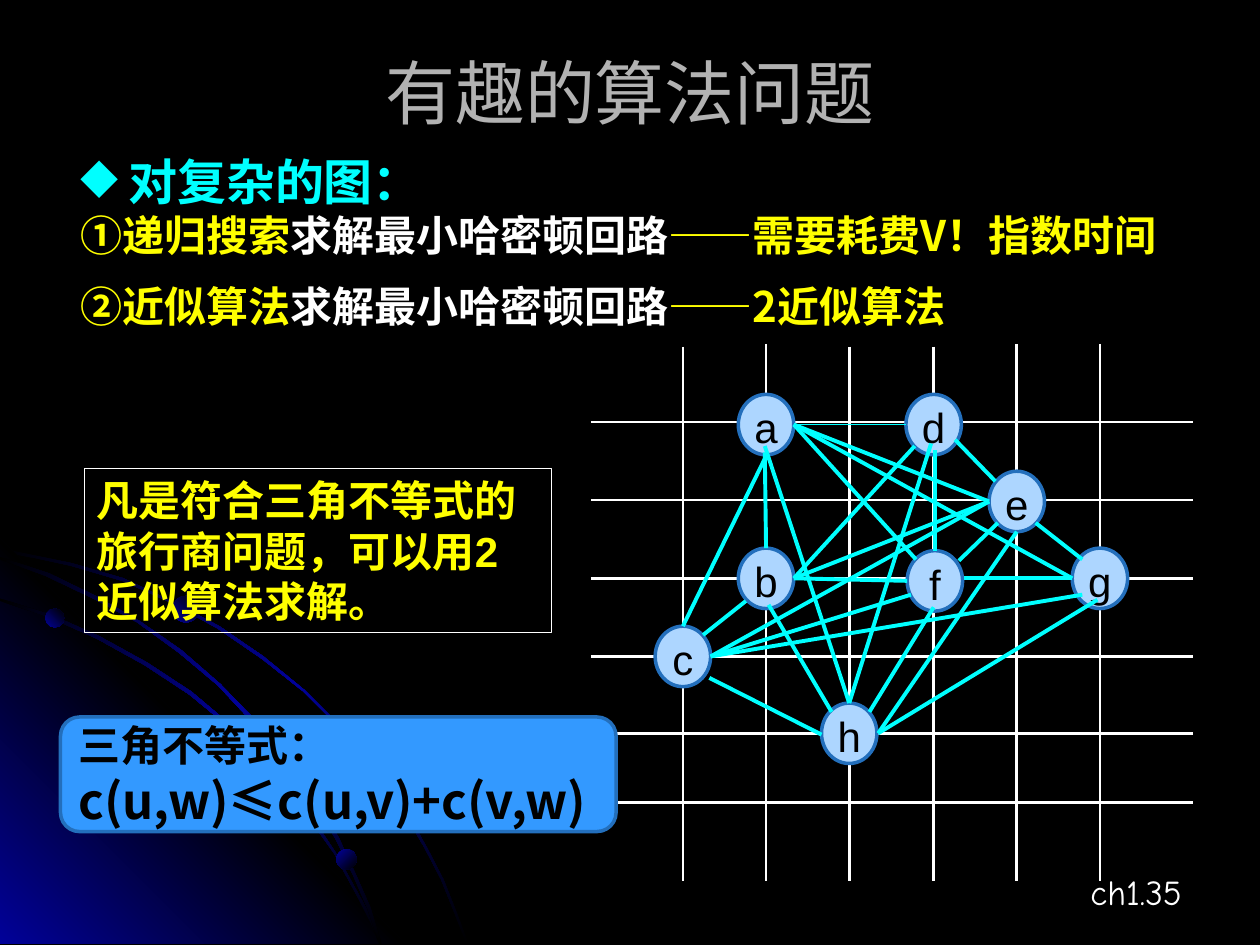
"""Build a slide on approximating the travelling salesman problem."""
from lxml import etree
from pptx import Presentation, util as u
from pptx.dml.color import RGBColor
from pptx.enum import shapes, text
from pptx.oxml import ns

PX = 9144
BLACK, WHITE, YELLOW, CYAN = "000000", "FFFFFF", "FFFF00", "00FFFF"
NAVY, NODE_FILL, OUTLINE = "010199", "ADD6FF", "236FBC"
CJK, CJK_JP, LATIN, SERIF = "Noto Sans CJK SC", "Noto Sans CJK JP", "Arial", "Times New Roman"
SHAPE = shapes.MSO_SHAPE
ALIGN, ANCHOR = text.PP_ALIGN, text.MSO_ANCHOR

GLOW = (NAVY, BLACK, NAVY)
STREAK = (BLACK, NAVY, BLACK)
ARCS = [
    [(57, 447), (28, 441), (0, 435), (0, 438), (28, 443), (56, 449), (97, 461), (135, 478), (173, 499),
     (208, 523), (241, 549), (271, 579), (298, 612), (323, 649), (337, 673), (350, 698), (360, 723),
     (370, 749), (372, 749), (362, 723), (352, 698), (339, 673), (325, 648), (300, 611), (272, 578),
     (242, 548), (209, 521), (174, 497), (136, 477), (98, 459)],
    [(285, 714), (294, 732), (301, 749), (303, 749), (296, 730), (286, 712), (266, 676), (242, 640),
     (215, 606), (184, 576), (152, 549), (117, 526), (79, 505), (41, 488), (0, 475), (0, 477), (39, 490),
     (77, 507), (115, 528), (150, 551), (183, 578), (213, 608), (240, 642), (265, 677)],
    [(0, 442), (0, 444), (36, 457), (74, 475), (109, 494), (142, 518), (173, 544), (202, 575), (227, 605),
     (252, 641), (267, 667), (280, 694), (292, 722), (301, 749), (303, 749), (294, 720), (282, 693),
     (269, 665), (254, 639), (229, 603), (204, 573), (175, 543), (144, 516), (111, 493), (76, 473), (39, 455)],
]
CORNER = [(322, 749), (0, 749), (0, 427)]
DOTS = [(36, 483, 15, 315), (267, 674, 16, 45), (137, 473, 21, 315)]

ROWS = [335, 397, 459, 521, 582, 637]
COLUMN_TOPS = [275, 273, 275, 275, 273, 273]
NODES = {"a": (586, 313), "d": (719, 313), "b": (586, 435), "c": (520, 497),
         "h": (652, 558), "e": (785, 374), "f": (720, 437), "g": (851, 435)}
EDGES = [
    (630, 337, 727, 444), (607, 359, 608, 435), (608, 362, 542, 497), (563, 538, 652, 583),
    (592, 477, 558, 504), (630, 459, 720, 461), (758, 349, 790, 382), (822, 415, 859, 444),
    (871, 476, 697, 582), (741, 482, 690, 565), (765, 459, 851, 459), (792, 415, 761, 445),
    (742, 357, 742, 437), (726, 354, 630, 459), (607, 354, 674, 558), (723, 472, 564, 521),
    (630, 337, 851, 459), (859, 472, 564, 521), (785, 398, 564, 521), (610, 480, 660, 565),
    (739, 352, 674, 558), (807, 422, 697, 582), (785, 398, 630, 459), (630, 337, 785, 398),
]


def color(value):
    return RGBColor.from_string(value)


def add_text(paragraph, content, size=24, font=CJK, fill=BLACK, bold=False):
    run = paragraph.add_run()
    run.text = content
    run.font.size = u.Pt(size)
    run.font.name = font
    run.font.bold = bold
    run.font.color.rgb = color(fill)
    east_asian = font if font == CJK_JP else CJK
    etree.SubElement(run.font._element, ns.qn("a:ea"), typeface=east_asian)


def add_bullet(paragraph, symbol, fill):
    properties = paragraph._p.get_or_add_pPr()
    bullet_color = etree.SubElement(properties, ns.qn("a:buClr"))
    etree.SubElement(bullet_color, ns.qn("a:srgbClr"), val=fill)
    etree.SubElement(properties, ns.qn("a:buChar"), char=symbol)


class Canvas:
    """Hold the style and the current slide."""

    def __init__(self, slide):
        self.shapes = slide.shapes
        self.slide = slide
        slide.background.fill.solid()
        slide.background.fill.fore_color.rgb = color(BLACK)

    def finish(self, shape, fill=None, line=None, weight=2):
        shape.shadow.inherit = False
        shape.fill.background()
        shape.line.fill.background()
        if fill:
            shape.fill.solid()
            shape.fill.fore_color.rgb = color(fill)
        if line:
            shape.line.color.rgb = color(line)
            shape.line.width = u.Pt(weight)

    def gradient(self, shape, colors, angle):
        self.finish(shape)
        shape.fill.gradient()
        shape.fill.gradient_angle = 360 - angle
        stops = shape._element.spPr.find(ns.qn("a:gradFill")).find(ns.qn("a:gsLst"))
        for stop in list(stops):
            stops.remove(stop)
        for index, value in enumerate(colors):
            position = str(100000 * index // (len(colors) - 1))
            stop = etree.SubElement(stops, ns.qn("a:gs"), pos=position)
            etree.SubElement(stop, ns.qn("a:srgbClr"), val=value)

    def outline(self, points, colors, angle):
        builder = self.shapes.build_freeform(*points[0], scale=PX)
        builder.add_line_segments(points[1:], close=True)
        self.gradient(builder.convert_to_shape(), colors, angle)

    def shape(self, kind, left, top, width, height, **style):
        shape = self.shapes.add_shape(kind, *(n * PX for n in (left, top, width, height)))
        self.finish(shape, **style)
        return shape

    def textbox(self, left, top, width, height):
        box = self.shapes.add_textbox(*(n * PX for n in (left, top, width, height)))
        box.text_frame.word_wrap = True
        return box.text_frame

    def line(self, x1, y1, x2, y2, fill, weight):
        line = self.shapes.add_connector(
            shapes.MSO_CONNECTOR.STRAIGHT, *(n * PX for n in (x1, y1, x2, y2)))
        line.line.color.rgb = color(fill)
        line.line.width = u.Pt(weight)
        etree.SubElement(line._element.spPr, ns.qn("a:effectLst"))

    def node(self, label, left, top):
        frame = self.shape(SHAPE.OVAL, left, top, 44, 48, fill=NODE_FILL, line=OUTLINE).text_frame
        frame.margin_left = frame.margin_right = frame.margin_bottom = 0
        frame.margin_top = 4 * PX
        frame.word_wrap = False
        frame.vertical_anchor = ANCHOR.MIDDLE
        frame.paragraphs[0].alignment = ALIGN.CENTER
        add_text(frame.paragraphs[0], label, font=LATIN)

    def method(self, paragraph, name, result):
        add_text(paragraph, name, fill=YELLOW, bold=True)
        add_text(paragraph, "求解", font=SERIF, fill=WHITE, bold=True)
        add_text(paragraph, "最小哈密顿回路", font=CJK_JP, fill=WHITE, bold=True)
        add_text(paragraph, result, fill=YELLOW, bold=True)


def main():
    presentation = Presentation()
    presentation.slide_width, presentation.slide_height = 1000 * PX, 750 * PX
    canvas = Canvas(presentation.slides.add_slide(presentation.slide_layouts[6]))

    canvas.outline(ARCS[0], STREAK, 45)
    canvas.outline(CORNER, GLOW, 315)
    for arc in ARCS[1:]:
        canvas.outline(arc, STREAK, 45)
    for left, top, size, angle in DOTS:
        canvas.gradient(canvas.shape(SHAPE.OVAL, left, top, size, size), (NAVY, BLACK), angle)

    number = canvas.textbox(720, 686, 228, 44).paragraphs[0]
    number.alignment = ALIGN.RIGHT
    add_text(number, "ch1.35", size=20, font="Comic Neue", fill=WHITE)

    for y in ROWS:
        canvas.line(469, y, 947, y, WHITE, 1.5)
    for index, top in enumerate(COLUMN_TOPS):
        x = round(542 + 66.2 * index)
        canvas.line(x, top, x, 699, WHITE, 1.5)
    for label, (left, top) in NODES.items():
        canvas.node(label, left, top)

    title = canvas.textbox(50, 30, 900, 85)
    title.vertical_anchor = ANCHOR.MIDDLE
    title.paragraphs[0].alignment = ALIGN.CENTER
    add_text(title.paragraphs[0], "有趣的算法问题", size=40, font=LATIN, fill="B2B2B2")

    canvas.method(canvas.textbox(54, 218, 767, 50).paragraphs[0], "②近似算法", "——2近似算法")

    note = canvas.shape(SHAPE.RECTANGLE, 67, 372, 371, 130, line=WHITE, weight=0.75).text_frame
    note.vertical_anchor = ANCHOR.TOP
    note.word_wrap = True
    note.paragraphs[0].alignment = ALIGN.LEFT
    add_text(note.paragraphs[0], "凡是符合三角不等式的旅行商问题，可以用2近似算法求解。",
             font=LATIN, fill=YELLOW, bold=True)

    rule = canvas.shape(SHAPE.ROUNDED_RECTANGLE, 48, 569, 441, 91, fill="3399FF", line=OUTLINE).text_frame
    heading, formula = rule.paragraphs[0], rule.add_paragraph()
    heading.alignment = formula.alignment = ALIGN.LEFT
    add_text(heading, "三角不等式：", font=LATIN, bold=True)
    add_text(formula, "c(u,w)≤c(u,v)+c(v,w)", size=28, bold=True)

    canvas.line(630, 337, 719, 337, CYAN, 0.75)
    for edge in EDGES:
        canvas.line(*edge, CYAN, 2.25)

    search = canvas.textbox(54, 115, 900, 97)
    topic, method = search.paragraphs[0], search.add_paragraph()
    for paragraph in (topic, method):
        paragraph._p.get_or_add_pPr().set("marL", str(38 * PX))
        paragraph._p.get_or_add_pPr().set("indent", str(-38 * PX))
    add_bullet(topic, "◆", CYAN)
    add_text(topic, "对复杂的图：", size=28, font=SERIF, fill=CYAN, bold=True)
    canvas.method(method, "①递归搜索", "——需要耗费V！指数时间")
    presentation.save("out.pptx")


if __name__ == "__main__":
    main()
